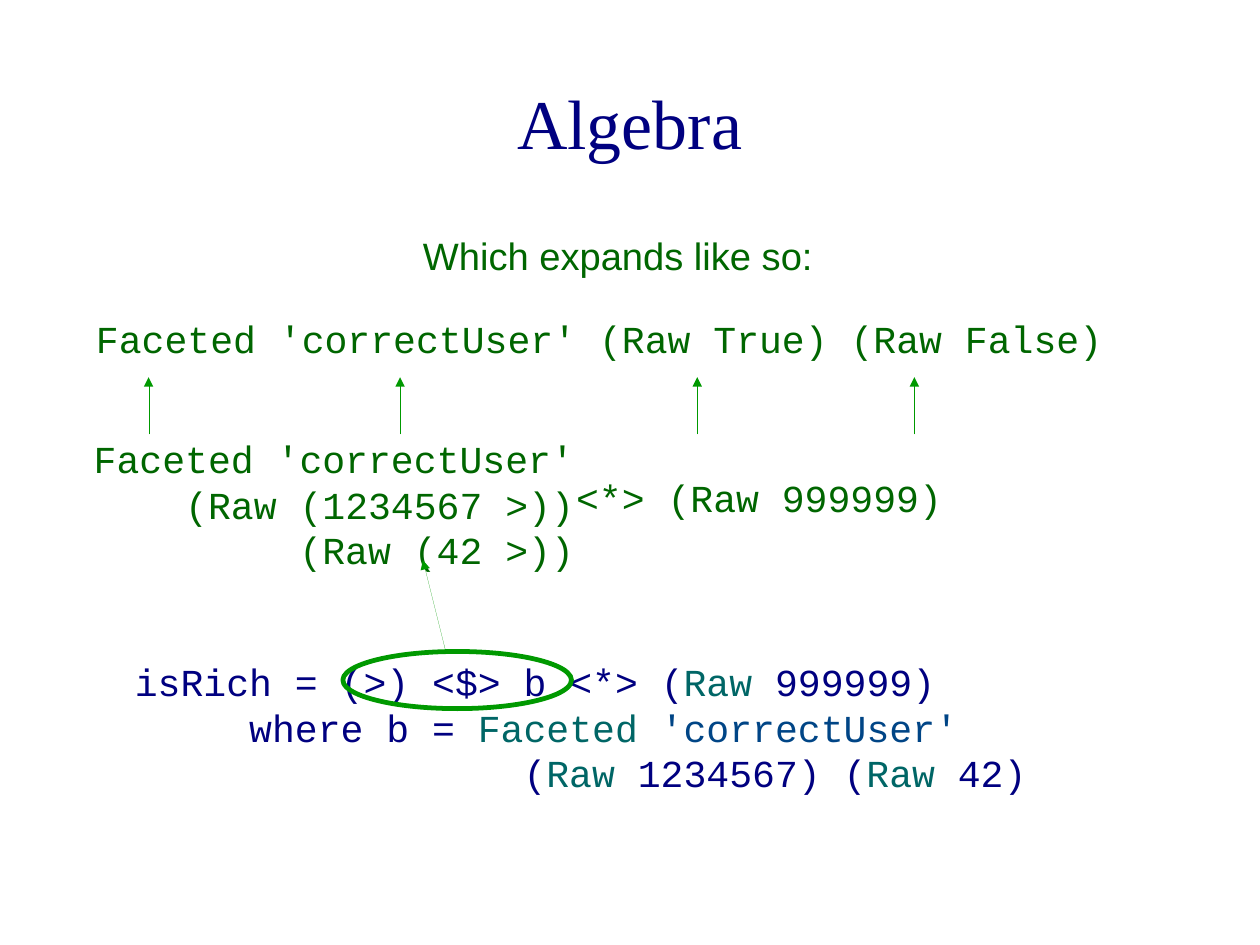
"""Build the Algebra slide on how a faceted expression expands."""
from lxml import etree
from pptx import Presentation
from pptx.dml.color import RGBColor
from pptx.enum.shapes import MSO_CONNECTOR, MSO_SHAPE
from pptx.enum.text import MSO_ANCHOR, PP_ALIGN
from pptx.oxml.ns import qn
from pptx.util import Inches, Pt

LEFT, CENTER, RIGHT = PP_ALIGN.LEFT, PP_ALIGN.CENTER, PP_ALIGN.RIGHT
TOP, MIDDLE = MSO_ANCHOR.TOP, MSO_ANCHOR.MIDDLE
STRAIGHT, OVAL = MSO_CONNECTOR.STRAIGHT, MSO_SHAPE.OVAL
MONO = "Courier New"
COLORS = {"navy": "000080", "teal": "006666", "blue": "004586",
          "green": "006600", "line": "009900"}


def color(name):
    return RGBColor.from_string(COLORS[name])


def write(shape, box, lines, align, face=MONO, size=24, anchor=TOP, wrap=True):
    shape.left, shape.top, shape.width, shape.height = map(Inches, box)
    frame = shape.text_frame
    frame.word_wrap = wrap
    frame.vertical_anchor = anchor
    frame.margin_left = frame.margin_right = 0
    frame.margin_top = frame.margin_bottom = 0
    para = frame.paragraphs[0]
    para.alignment = align
    if align == LEFT:
        tabs = etree.SubElement(para._p.get_or_add_pPr(), qn("a:tabLst"))
        for stop in (1, 2, 3):
            etree.SubElement(tabs, qn("a:tab"), pos=str(Inches(stop)), algn="l")
    for row, line in enumerate(lines):
        if row:
            para.add_line_break()
        for text, tint in line:
            run = para.add_run()
            run.text = text
            run.font.name = face
            run.font.size = Pt(size)
            run.font.color.rgb = color(tint)


prs = Presentation()
prs.slide_width, prs.slide_height = Inches(28 / 2.54), Inches(21 / 2.54)
slide = prs.slides.add_slide(prs.slide_layouts[5])
shapes = slide.shapes

write(shapes.title, (0.55, 0.37, 9.92, 1.38), [[("Algebra", "navy")]],
      CENTER, "Times New Roman", 44, MIDDLE)

source = [
    [("isRich = (>) <$> b <*> (", "navy"), ("Raw", "teal"), (" 999999)", "navy")],
    [("\twhere b = ", "navy"), ("Faceted ", "teal"), ("'correctUser' ", "blue")],
    [("\t\t\t  (", "navy"), ("Raw", "teal"), (" 1234567) (", "navy"),
     ("Raw", "teal"), (" 42)", "navy")],
]
partial = [[(text, "green")] for text in
           ("Faceted 'correctUser'", "(Raw (1234567 >))", "(Raw (42 >))")]
applied = [[("<*> (Raw 999999)", "green")]]
result = [[("Faceted 'correctUser' (Raw True) (Raw False)", "green")]]

for box, lines, align in [
    ((1.18, 5.76, 10.12, 1.54), source, LEFT),
    ((-5.1, 3.81, 10.12, 1.54), partial, RIGHT),
    ((1.58, 4.15, 10.12, 1.35), applied, CENTER),
    ((0.18, 2.76, 10.12, 1.54), result, CENTER),
]:
    write(shapes.add_textbox(0, 0, 0, 0), box, lines, align)

write(shapes.add_textbox(0, 0, 0, 0), (3.7, 2.03, 3.41, 0.37),
      [[("Which expands like so:", "green")]], CENTER, "Arial", wrap=False)

ring = shapes.add_shape(OVAL, Inches(3), Inches(5.7), Inches(2), Inches(0.5))
ring.shadow.inherit = False
ring.fill.background()
ring.line.color.rgb = color("line")
ring.line.width = Pt(3)

arrows = [(3.9, 5.7, 3.7, 4.9)] + [(x, 3.8, x, 3.3) for x in (1.3, 3.5, 6.1, 8)]
for ends in arrows:
    arrow = shapes.add_connector(STRAIGHT, *map(Inches, ends))
    arrow.line.color.rgb = color("line")
    edge = arrow.line._get_or_add_ln()
    edge.set("w", "0")
    etree.SubElement(edge, qn("a:tailEnd"), type="triangle")
    etree.SubElement(arrow._element.spPr, qn("a:effectLst"))

prs.save("out.pptx")
